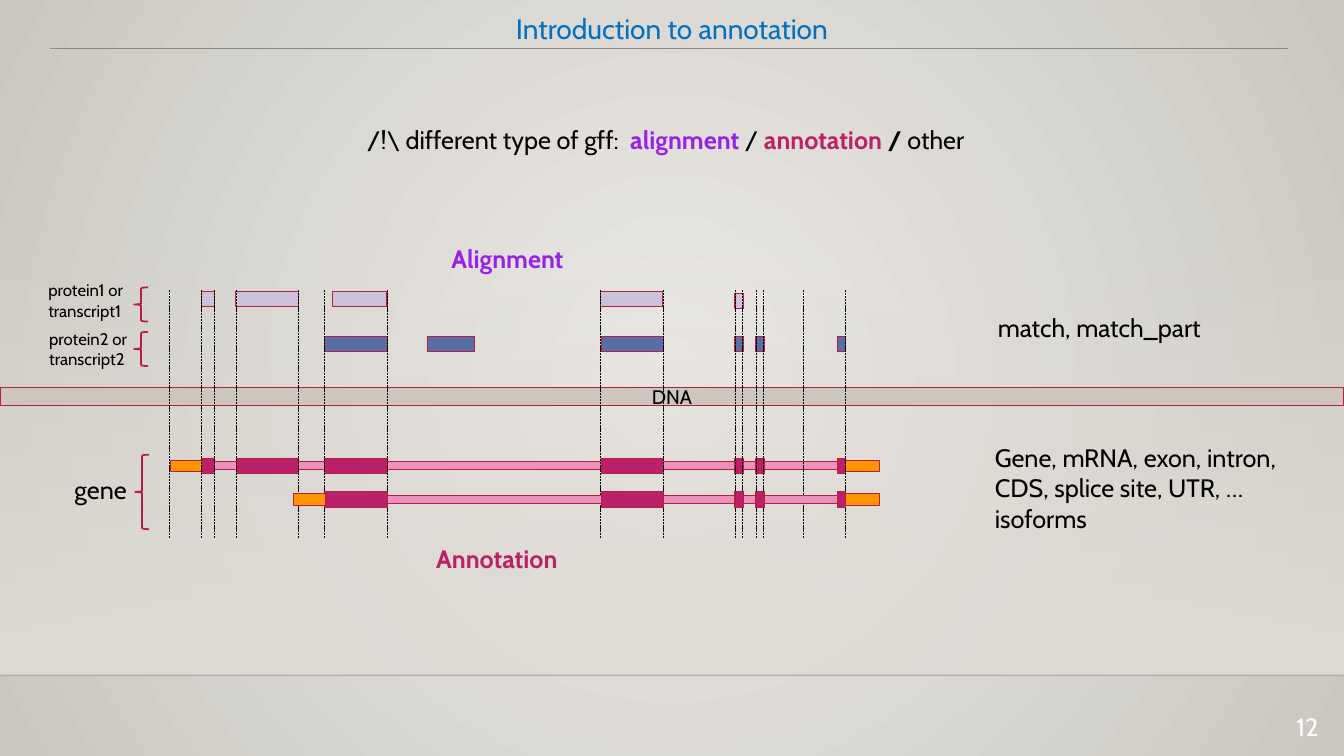
from pptx import Presentation
from pptx.dml.color import RGBColor
from pptx.enum import dml, shapes, text
from pptx.oxml import parse_xml
from pptx.oxml import ns
from pptx.util import Pt

FONT = "Cabin"
BLACK, RED, ROSE, PURPLE = "000000", "B71E42", "BA2169", "9622E7"
PINK, ORANGE, LILAC, BLUE = "EB91BB", "FF9300", "CCC1DA", "586EA6"
LEFT, CENTER, RIGHT = text.PP_ALIGN.LEFT, text.PP_ALIGN.CENTER, text.PP_ALIGN.RIGHT

# Horizontal spans (left, width) along the DNA
SHARED = [(232, 44.6), (429.5, 44.6), (525, 5.8), (540, 5.8), (598.3, 5.8)]
FIRST = [(144, 9.4), (168.8, 44.6)]
TAIL = (604, 24.5)
GUIDES = [121, 144, 153.4, 168.5, 213, 232, 276.5, 429, 474,
          525, 530.6, 540, 545, 574, 604]


def color(code):
    return RGBColor.from_string(code)


def grade(owner, fill, stops, course):
    """Fill with a gradient; stops are (percent, colour, opacity percent)."""
    fill.gradient()
    marks = "".join(
        f'<a:gs pos="{at * 1000}"><a:srgbClr val="{code}">'
        f'<a:alpha val="{alpha * 1000}"/></a:srgbClr></a:gs>'
        for at, code, alpha in stops)
    old = owner.xpath(".//a:gradFill")[0]
    old.getparent().replace(old, parse_xml(
        f'<a:gradFill {ns.nsdecls("a")} rotWithShape="1">'
        f"<a:gsLst>{marks}</a:gsLst>{course}</a:gradFill>"))


def write(frame, *lines, size=18, align=LEFT, tint=BLACK, bold=False,
          anchor=text.MSO_ANCHOR.TOP, space=None):
    """Each line is a string or a list of (string, colour, bold) runs."""
    frame.word_wrap = True
    frame.auto_size = text.MSO_AUTO_SIZE.NONE
    frame.vertical_anchor = anchor
    for i, line in enumerate(lines):
        para = frame.add_paragraph() if i else frame.paragraphs[0]
        para.alignment = align
        para.space_before = Pt(0)
        if space:
            para.line_spacing = space
        runs = [(line, tint, bold)] if isinstance(line, str) else line
        for words, shade, heavy in runs:
            run = para.add_run()
            run.text = words
            run.font.name = FONT
            run.font.size = Pt(size)
            run.font.bold = heavy
            run.font.color.rgb = color(shade)


def label(slide, x, y, w, h, *lines, **style):
    box = slide.shapes.add_textbox(Pt(x), Pt(y), Pt(w), Pt(h))
    write(box.text_frame, *lines, **style)


def bar(host, x, y, w, h, fill=None, line=RED):
    shape = host.shapes.add_shape(
        shapes.MSO_SHAPE.RECTANGLE, Pt(x), Pt(y), Pt(w), Pt(h))
    shape.shadow.inherit = False
    if fill:
        shape.fill.solid()
        shape.fill.fore_color.rgb = color(fill)
    if line:
        shape.line.color.rgb = color(line)
        shape.line.width = Pt(0.75)
    else:
        shape.line.fill.background()
    return shape


def rule(host, x1, y1, x2, y2, tint, width, dash=None, alpha=None):
    line = host.shapes.add_connector(
        shapes.MSO_CONNECTOR.STRAIGHT, Pt(x1), Pt(y1), Pt(x2), Pt(y2))
    line.line.color.rgb = color(tint)
    line.line.width = Pt(width)
    if dash:
        line.line.dash_style = dash
    props = line.element.spPr
    if alpha:
        props.xpath(".//a:srgbClr")[0].append(parse_xml(
            f'<a:alpha {ns.nsdecls("a")} val="{alpha * 1000}"/>'))
    props.append(parse_xml(f'<a:effectLst {ns.nsdecls("a")}/>'))


def brace(slide, x, y, h):
    shape = slide.shapes.add_shape(
        shapes.MSO_SHAPE.RIGHT_BRACE, Pt(x), Pt(y), Pt(10), Pt(h))
    shape.rotation = 180
    shape.shadow.inherit = False
    shape.fill.background()
    shape.line.color.rgb = color(RED)
    shape.line.width = Pt(1.25)


def gene(slide, mid, start, exons, ends):
    """Draw one isoform centred on mid: intron, exons, then UTR ends."""
    group = slide.shapes.add_group_shape()
    bar(group, start, mid - 2.9, 598.3 - start, 5.8, PINK)
    for spans, h, fill in ((exons, 10.8, ROSE), (ends, 8, ORANGE)):
        for x, w in spans:
            bar(group, x, mid - h / 2, w, h, fill)


def frame(slide):
    """Backdrop, lines, title and page number."""
    grade(slide.element, slide.background.fill,
          [(0, "ECEAE7", 100), (100, "CAC7C1", 100)],
          '<a:path path="circle"><a:fillToRect l="50000" t="50000" '
          'r="50000" b="50000"/></a:path>')
    band = bar(slide, 0, 159, 960, 323.4, line=None)
    grade(band.element, band.fill,
          [(0, "DFDBD5", 0), (100, "DFDBD5", 100)],
          '<a:lin ang="5400000" scaled="0"/>')
    rule(slide, 0, 482.4, 960, 482.4, "000001", 1, alpha=20)
    rule(slide, 36, 35, 920, 35, "8A8A8A", 0.75)
    title = slide.shapes.title
    title.left, title.top, title.width, title.height = Pt(0), Pt(0), Pt(960), Pt(35)
    write(title.text_frame, "Introduction to annotation", size=20,
          align=CENTER, tint="0270C0", space=1.2)
    label(slide, 882, 504.7, 67, 24.5, "12", align=RIGHT, tint="FFFFFF")


def tracks(slide):
    """DNA, aligned matches, guides and gene isoforms."""
    dna = bar(slide, 0, 276.5, 960, 13, "CCC6BC")
    write(dna.text_frame, "DNA", size=14, align=CENTER,
          anchor=text.MSO_ANCHOR.MIDDLE)
    gene(slide, 332.8, 150.5, SHARED + FIRST, [(121.7, 23), TAIL])
    for x, w in [(144, 9), (168.5, 44.6), (237.6, 38.9), (429, 44.6)]:
        bar(slide, x, 208, w, 10.8, LILAC)
    bar(slide, 525, 209.5, 5.8, 10.8, LILAC)
    for x, w in SHARED + [(305.3, 33.8)]:
        bar(slide, x, 240.5, w, 10.8, BLUE)
    guides = slide.shapes.add_group_shape()
    for x in GUIDES:
        rule(guides, x, 207.4, x, 384.5, BLACK, 0.5,
             dash=dml.MSO_LINE.SQUARE_DOT)
    gene(slide, 356.8, 232, SHARED, [(209.5, 23), TAIL])


def notes(slide):
    """Labels and braces around the tracks."""
    label(slide, 228, 85, 495, 29, [
        ("/!\\ different type of gff:  ", BLACK, False),
        ("alignment ", PURPLE, True), ("/ ", BLACK, False),
        ("annotation ", ROSE, True), ("/ ", BLACK, True),
        ("other", BLACK, False)], align=CENTER)
    label(slide, 315.4, 170, 106, 46, "Alignment", tint=PURPLE, bold=True)
    label(slide, 304.5, 384.5, 111, 29, "Annotation", tint=ROSE, bold=True)
    label(slide, 27.4, 196.6, 74, 36, "protein1 or", "transcript1", size=12)
    label(slide, 28, 231, 98, 36, "protein2 or transcript2", size=12)
    label(slide, 46, 335, 68, 29, "gene")
    label(slide, 705.6, 219.6, 184, 29, "match, match_part")
    label(slide, 703.5, 312.5, 240.5, 73,
          "Gene, mRNA, exon, intron, CDS, splice site, UTR, …", "isoforms")
    for x, y, h in [(95.8, 205.2, 24.5), (95.8, 237, 24.5), (96.5, 324.7, 53.3)]:
        brace(slide, x, y, h)


def main():
    deck = Presentation()
    deck.slide_width, deck.slide_height = Pt(960), Pt(540)
    slide = deck.slides.add_slide(deck.slide_layouts[5])
    frame(slide)
    tracks(slide)
    notes(slide)
    deck.save("out.pptx")


if __name__ == "__main__":
    main()
